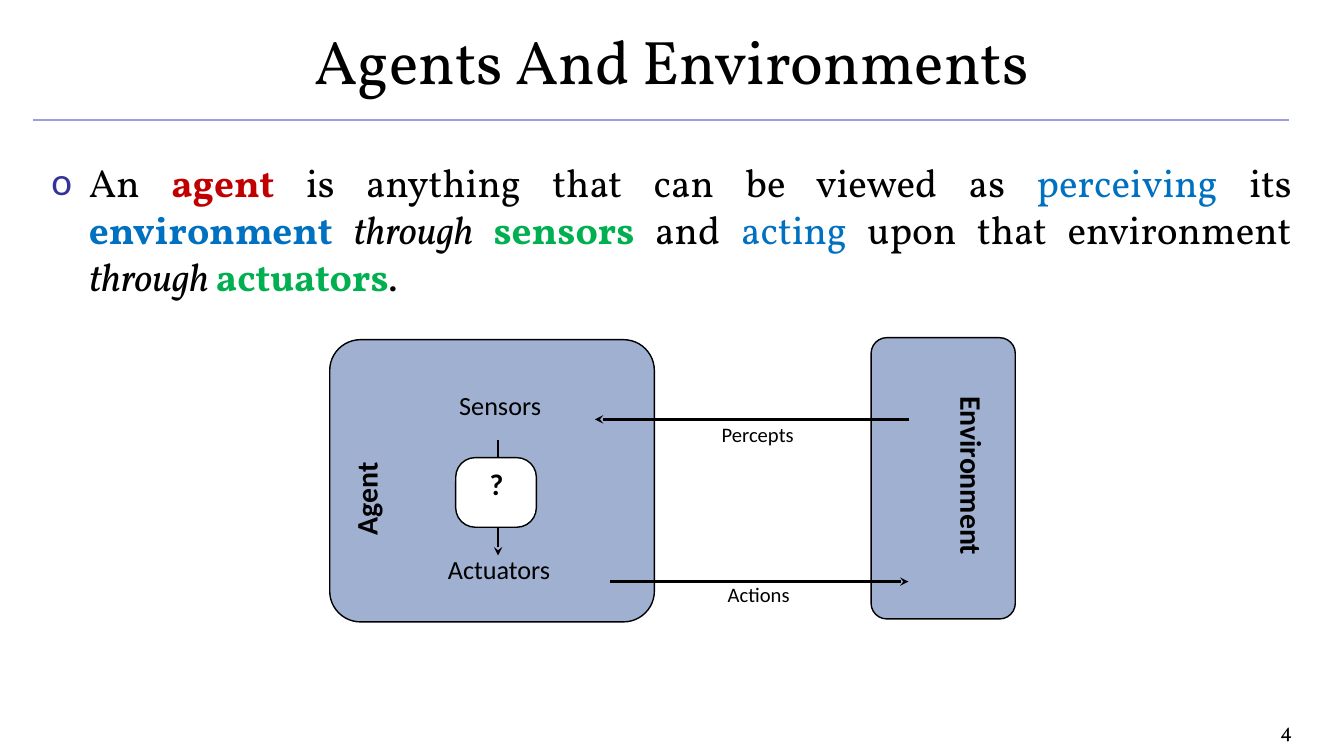
from lxml import etree
from pptx import Presentation
from pptx.dml.color import RGBColor
from pptx.enum.shapes import MSO_CONNECTOR, MSO_SHAPE
from pptx.enum.text import MSO_ANCHOR, MSO_AUTO_SIZE, PP_ALIGN
from pptx.oxml.ns import qn
from pptx.util import Inches, Pt

ROUNDED = MSO_SHAPE.ROUNDED_RECTANGLE
STRAIGHT = MSO_CONNECTOR.STRAIGHT
LEFT, CENTER, RIGHT, JUSTIFY = (
    PP_ALIGN.LEFT, PP_ALIGN.CENTER, PP_ALIGN.RIGHT, PP_ALIGN.JUSTIFY)
TOP, MIDDLE = MSO_ANCHOR.TOP, MSO_ANCHOR.MIDDLE

COLORS = {
    "black": "000000", "white": "FFFFFF", "panel": "9FB0D1", "rule": "9C9CDF",
    "bullet": "333399", "red": "C00000", "blue": "0070C0", "green": "00B050",
}
SERIF, SANS = "Vollkorn", "Calibri"
PAGE_INSETS = (0.07, 0.04, 0.07, 0.04)
LABEL_INSETS = (0, 0, 0.05, 0)

# Text, colour, bold, italic
DEFINITION = [
    ("An ", "black", False, False),
    ("agent ", "red", True, False),
    ("is anything that can be viewed as ", "black", False, False),
    ("perceiving", "blue", False, False),
    (" its ", "black", False, False),
    ("environment ", "blue", True, False),
    ("through ", "black", False, True),
    ("sensors ", "green", True, False),
    ("and ", "black", False, False),
    ("acting", "blue", False, False),
    (" upon that environment ", "black", False, False),
    ("through ", "black", False, True),
    ("actuators", "green", True, False),
    (".", "black", False, False),
]


def rgb(name):
    return RGBColor.from_string(COLORS[name])


class SlideBuilder:
    def __init__(self, slide):
        self.slide = slide
        self.shapes = slide.shapes

    def frame(self, shape, insets, anchor):
        """Fix the wrapping, insets and anchor of a shape's text."""
        text_frame = shape.text_frame
        text_frame.word_wrap = True
        text_frame.auto_size = MSO_AUTO_SIZE.NONE
        text_frame.vertical_anchor = anchor
        (text_frame.margin_left, text_frame.margin_top,
         text_frame.margin_right, text_frame.margin_bottom) = map(Inches, insets)
        return text_frame.paragraphs[0]

    def style(self, paragraph, size, font, align, bold=None):
        paragraph.alignment = align
        paragraph.font.size = Pt(size)
        paragraph.font.name = font
        paragraph.font.bold = bold
        paragraph.font.color.rgb = rgb("black")

    def place(self, shape, box):
        shape.left, shape.top, shape.width, shape.height = map(Inches, box)

    def title(self, text, box):
        heading = self.shapes.title
        self.place(heading, box)
        paragraph = self.frame(heading, PAGE_INSETS, MIDDLE)
        paragraph.text = text
        self.style(paragraph, 44, SERIF, CENTER)

    def bullet(self, parts, box):
        body = self.slide.placeholders[1]
        self.place(body, box)
        paragraph = self.frame(body, PAGE_INSETS, TOP)
        self.style(paragraph, 28, SERIF, JUSTIFY)
        for text, color, bold, italic in parts:
            run = paragraph.add_run()
            run.text = text
            run.font.color.rgb = rgb(color)
            run.font.bold, run.font.italic = bold, italic
        properties = paragraph._p.get_or_add_pPr()
        properties.set("marL", str(Inches(0.37)))
        properties.set("indent", str(Inches(-0.37)))
        marks = [etree.Element(qn(tag)) for tag in ("a:buClr", "a:buFont", "a:buChar")]
        etree.SubElement(marks[0], qn("a:srgbClr"), val=COLORS["bullet"])
        marks[1].set("typeface", SANS)
        marks[2].set("char", "o")
        for position, mark in enumerate(marks):
            properties.insert(position, mark)

    def label(self, text, box, size, font=SANS, align=CENTER, bold=False,
              rotation=0, insets=LABEL_INSETS, indent=0.04):
        label = self.shapes.add_textbox(*map(Inches, box))
        label.rotation = rotation
        paragraph = self.frame(label, insets, TOP)
        paragraph.text = text
        self.style(paragraph, size, font, align, bold)
        paragraph._p.get_or_add_pPr().set("marL", str(Inches(indent)))

    def panel(self, box, fill, corner):
        panel = self.shapes.add_shape(ROUNDED, *map(Inches, box))
        panel.adjustments[0] = corner
        panel.shadow.inherit = False
        panel.fill.solid()
        panel.fill.fore_color.rgb = rgb(fill)
        panel.line.color.rgb = rgb("black")
        panel.line.width = Pt(1)

    def line(self, start, end, color="black", width=2, arrow=True):
        line = self.shapes.add_connector(STRAIGHT, *map(Inches, start + end))
        line.line.color.rgb = rgb(color)
        line.line.width = Pt(width)
        if arrow:
            etree.SubElement(line.line._get_or_add_ln(), qn("a:tailEnd"), type="stealth")
        etree.SubElement(line._element.spPr, qn("a:effectLst"))


def main():
    deck = Presentation()
    deck.slide_width, deck.slide_height = Inches(13.33), Inches(7.5)
    page = SlideBuilder(deck.slides.add_slide(deck.slide_layouts[1]))

    page.line((0.33, 1.19), (12.78, 1.19), "rule", 1, arrow=False)
    page.title("Agents And Environments", (0, -0.03, 13.33, 1.25))
    page.bullet(DEFINITION, (0.44, 1.53, 12.44, 5.56))

    page.panel((3.27, 3.37, 3.22, 2.8), "panel", 0.109)
    page.line((4.94, 4.37), (4.94, 5.51))
    page.label("Agent", (3.26, 4.33, 1.21, 0.83), 21.3, align=LEFT, bold=True, rotation=270)
    page.panel((4.52, 4.54, 0.8, 0.69), "white", 0.281)
    page.label("?", (4.79, 4.62, 0.28, 0.6), 21.3, bold=True)
    page.label("Sensors", (4.14, 3.86, 1.65, 0.77), 18.7)
    page.label("Actuators", (4.03, 5.49, 1.85, 0.63), 18.7)

    page.panel((8.64, 3.35, 1.43, 2.79), "panel", 0.109)
    page.label("Environment", (8.17, 4.31, 2.47, 0.83), 21.3, bold=True, rotation=90)

    page.line((9.02, 4.16), (5.9, 4.16))
    page.line((6.05, 5.77), (9.01, 5.77))
    page.label("Percepts", (6.73, 4.19, 1.58, 0.57), 14.7)
    page.label("Actions", (6.85, 5.77, 1.36, 0.65), 14.7)

    page.label("4", (10.56, 7.08, 2.33, 0.32), 14.7, SERIF, RIGHT,
               insets=PAGE_INSETS, indent=0)
    deck.save("out.pptx")


if __name__ == "__main__":
    main()
